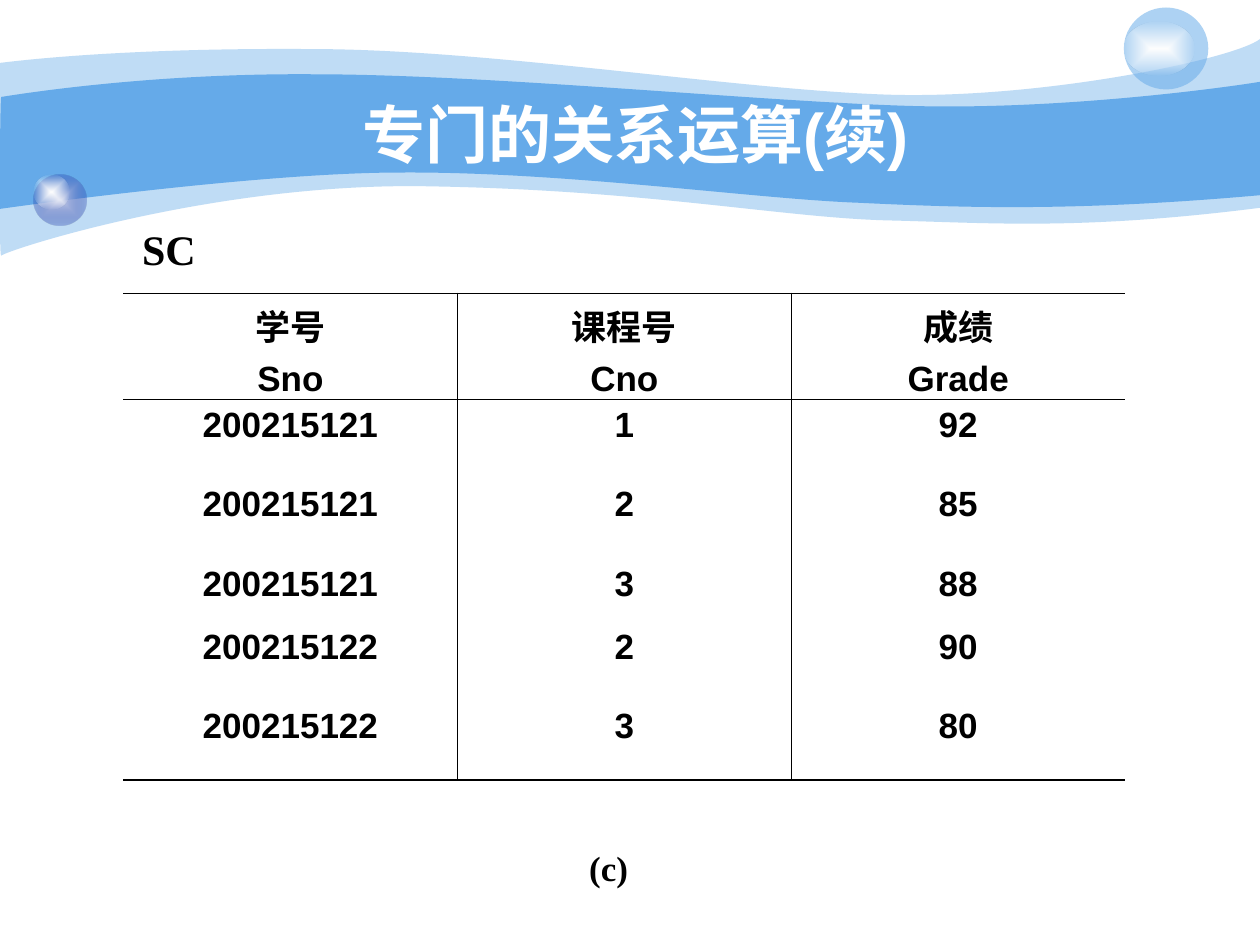
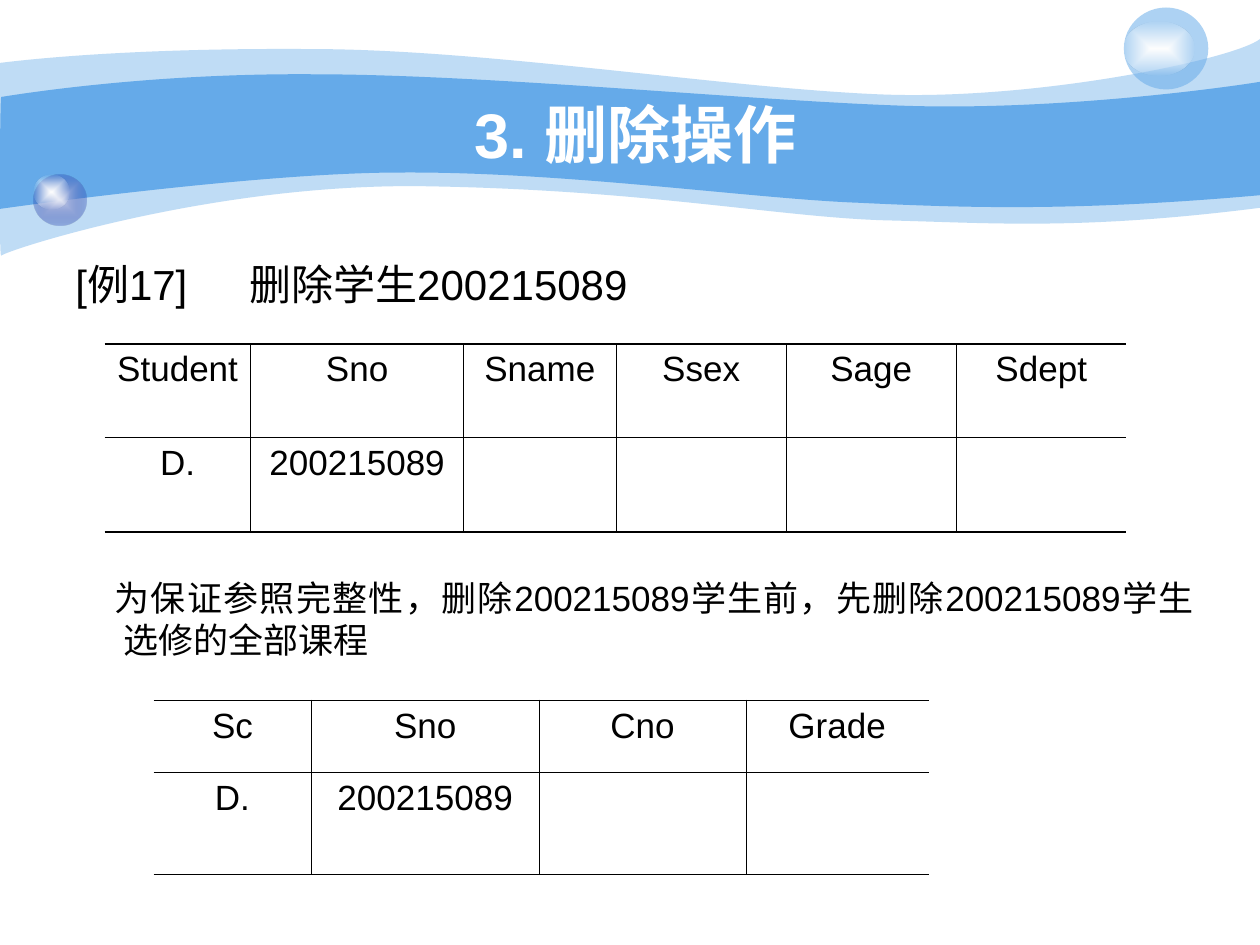
import pptx
import pptx.dml.color
import pptx.enum.shapes
import pptx.enum.text
import pptx.oxml
import pptx.oxml.ns
import pptx.util

RGBColor = pptx.dml.color.RGBColor
Align = pptx.enum.text.PP_ALIGN
Anchor = pptx.enum.text.MSO_ANCHOR
qualified = pptx.oxml.ns.qn

WAVE_BLUE = RGBColor(0x65, 0xAA, 0xE9)
BUBBLE_PALE = RGBColor(0xC7, 0xCE, 0xE9)
BUBBLE_DEEP = RGBColor(0x23, 0x3D, 0xA9)
WHITE = RGBColor(0xFF, 0xFF, 0xFF)
BLACK = RGBColor(0, 0, 0)

SANS, SERIF = "Arial", "Times New Roman"
COLUMNS, ROWS = 10, 7.5
CELL = pptx.util.Inches(1)
THIN, THICK = 0.45, 1.08

# Each outline is a start point, then curves (three points) and lines (one point).
PALE_WAVE = ((0, 0.5), [
    ((0.24, 0.47), (1.07, 0.38), (2.47, 0.39)),
    ((3.86, 0.39), (5.75, 0.7), (6.99, 0.75)),
    ((8.22, 0.8), (9.8, 0.47), (10, 0.31)),
    ((10, 1.65),),
    ((8.58, 1.83), (7.87, 1.77), (7.05, 1.75)),
    ((6.22, 1.73), (5.15, 1.51), (3.43, 1.48)),
    ((1.72, 1.44), (0.04, 1.99), (0.01, 2.03)),
    ((-0.01, 2.08), (0, 0.75), (0, 0.5)),
])
STRONG_WAVE = ((0.01, 0.77), [
    ((0.02, 0.77), (1.1, 0.58), (2.48, 0.59)),
    ((3.86, 0.59), (5.95, 0.8), (7.18, 0.84)),
    ((8.41, 0.88), (9.76, 0.69), (10, 0.65)),
    ((10, 1.55),),
    ((8.53, 1.68), (7.65, 1.65), (6.82, 1.61)),
    ((5.99, 1.58), (4.47, 1.36), (3.17, 1.37)),
    ((2.03, 1.37), (-0.02, 1.66), (-0.01, 1.66)),
    ((0, 1.66), (0, 0.77), (0.01, 0.77)),
])


def grid(*cells):
    """Turn columns or rows into slide lengths."""
    return [pptx.util.Emu(round(cell * CELL)) for cell in cells]


def xml(text):
    return pptx.oxml.parse_xml(text.replace(">", f' {pptx.oxml.ns.nsdecls("a")}>', 1))


def color_xml(color, opacity=100):
    return f'<a:srgbClr val="{color}"><a:alpha val="{opacity * 1000}"/></a:srgbClr>'


def bend(shape, pieces):
    """Join the straight segments of each three-point piece into one curve."""
    segments = iter(list(shape._element.iter(qualified("a:lnTo"))))
    for piece in pieces:
        lines = [next(segments) for _ in piece]
        if len(lines) == 3:
            curve = xml("<a:cubicBezTo></a:cubicBezTo>")
            lines[0].addprevious(curve)
            for line in lines:
                curve.append(line[0])
                line.getparent().remove(line)


class SlideBuilder:
    def __init__(self):
        self.deck = pptx.Presentation()
        self.deck.slide_width, self.deck.slide_height = grid(COLUMNS, ROWS)
        self.page = None

    def new_page(self, title):
        self.page = self.deck.slides.add_slide(self.deck.slide_layouts[6])
        self.wave(PALE_WAVE, 41)
        self.wave(STRONG_WAVE)
        self.bubble((0.27, 1.39, 0.42, 0.4), BUBBLE_PALE, BUBBLE_DEEP, 31)
        self.bubble((0.27, 1.39, 0.28, 0.27), WHITE, WHITE, 0)
        self.flat_fill(self.ellipse((8.92, 0.06, 0.67, 0.65)), 53)
        self.bubble((8.92, 0.17, 0.56, 0.43), WHITE, WHITE, 0)
        self.text((1, 0.75, 8.08, 0.62), title, 36, bold=True, color=WHITE, anchor=Anchor.MIDDLE)

    def flat_fill(self, shape, opacity=100):
        shape.shadow.inherit = False
        shape.line.fill.background()
        self.swap_fill(shape, f"<a:solidFill>{color_xml(WAVE_BLUE, opacity)}</a:solidFill>")

    def swap_fill(self, shape, fill_text):
        shape.fill.background()
        old = shape._element.spPr.find(qualified("a:noFill"))
        old.getparent().replace(old, xml(fill_text))

    def wave(self, outline, opacity=100):
        start, pieces = outline
        builder = self.page.shapes.build_freeform(*grid(*start))
        builder.add_line_segments([grid(*point) for piece in pieces for point in piece])
        builder.add_line_segments([], close=True)
        shape = builder.convert_to_shape()
        bend(shape, pieces)
        self.flat_fill(shape, opacity)

    def ellipse(self, place):
        shape = self.page.shapes.add_shape(pptx.enum.shapes.MSO_SHAPE.OVAL, *grid(*place))
        shape.shadow.inherit = False
        shape.line.fill.background()
        return shape

    def bubble(self, place, inner, outer, outer_opacity):
        """Draw an ellipse that fades from its middle outwards."""
        self.swap_fill(self.ellipse(place), (
            f'<a:gradFill><a:gsLst><a:gs pos="0">{color_xml(inner)}</a:gs>'
            f'<a:gs pos="100000">{color_xml(outer, outer_opacity)}</a:gs></a:gsLst>'
            '<a:path path="rect"><a:fillToRect l="50000" t="50000" r="50000" b="50000"/></a:path>'
            '</a:gradFill>'))

    def style(self, paragraphs, size, font=SANS, bold=False, color=BLACK, align=Align.CENTER):
        for index, para in enumerate(paragraphs):
            para.alignment = align
            if index:
                para.space_before = pptx.util.Pt(5)
            for span in para.runs:
                span.font.size = pptx.util.Pt(size)
                span.font.name = font
                span.font.bold = bold
                span.font.color.rgb = color

    def text(self, place, words, size, anchor=Anchor.TOP, wrap=True, **look):
        frame = self.page.shapes.add_textbox(*grid(*place)).text_frame
        frame.word_wrap = wrap
        frame.vertical_anchor = anchor
        frame.text = words
        self.style(frame.paragraphs, size, **look)
        return frame

    def indent(self, para, margin, first_line, tab=None):
        properties = para._p.get_or_add_pPr()
        margin, first_line = grid(margin, first_line)
        properties.set("marL", str(margin))
        properties.set("indent", str(first_line))
        if tab:
            stop, = grid(tab)
            properties.append(xml(f'<a:tabLst><a:tab pos="{stop}" algn="l"/></a:tabLst>'))

    def table(self, corner, widths, heights, records, bold=False):
        """Draw an open-sided table with ruled columns and a ruled header."""
        row_count, column_count = len(heights), len(widths)
        place = grid(*corner, sum(widths), sum(heights))
        table = self.page.shapes.add_table(row_count, column_count, *place).table
        table.first_row = table.horz_banding = False
        for column, width in zip(table.columns, grid(*widths)):
            column.width = width
        for row, height in zip(table.rows, grid(*heights)):
            row.height = height
        for r, record in enumerate(records):
            for c, words in enumerate(record):
                cell = table.cell(r, c)
                cell.text = words
                cell.fill.background()
                self.style(cell.text_frame.paragraphs, 20, bold=bold)
                self.borders(cell, {
                    "L": THIN if c else 0,
                    "R": THIN if c < column_count - 1 else 0,
                    "T": {0: THICK, 1: THIN}.get(r, 0),
                    "B": THICK if r == row_count - 1 else THIN if r == 0 else 0,
                })

    def borders(self, cell, weights):
        properties = cell._tc.get_or_add_tcPr()
        for index, (side, weight) in enumerate(weights.items()):
            fill = f"<a:solidFill>{color_xml(BLACK)}</a:solidFill>" if weight else "<a:noFill/>"
            width = pptx.util.Pt(weight)
            properties.insert(index, xml(f'<a:ln{side} w="{width}">{fill}</a:ln{side}>'))


def grades_page(builder):
    builder.new_page("专门的关系运算(续)")
    builder.text((4.37, 6.67, 0.92, 0.77), "(c)", 20, font=SERIF, bold=True)
    builder.text((0.75, 1.7, 1.18, 0.55), "SC", 24, font=SERIF, bold=True,
                 anchor=Anchor.MIDDLE, wrap=False)
    builder.table((0.98, 2.33), [2.65] * 3, [0.84, 0.63, 0.63, 0.5, 0.63, 0.63], [
        ("学号\nSno", "课程号\nCno", "成绩\nGrade"),
        ("200215121", "1", "92"),
        ("200215121", "2", "85"),
        ("200215121", "3", "88"),
        ("200215122", "2", "90"),
        ("200215122", "3", "80"),
    ], bold=True)


def deletion_page(builder):
    builder.new_page("3. 删除操作")
    body = builder.text((0.5, 2, 9.07, 4.92), (
        "[例17]\t删除学生200215089\n"
        "为保证参照完整性，删除200215089学生前，先删除200215089学生选修的全部课程"),
        20, align=Align.JUSTIFY)
    example, remark = body.paragraphs
    builder.indent(example, 0.38, -0.38, tab=1.32)
    example.runs[0].font.size = pptx.util.Pt(24)
    for span in example.runs:
        span.font.size = pptx.util.Pt(24)
    builder.indent(remark, 0.38, -0.07)
    remark.space_before = pptx.util.Pt(153)
    builder.table((0.83, 2.73), [1.16, 1.69, 1.21, 1.35, 1.35, 1.35], [0.74, 0.75], [
        ("Student", "Sno", "Sname", "Ssex", "Sage", "Sdept"),
        ("D.", "200215089", "", "", "", ""),
    ])
    builder.table((1.22, 5.56), [1.25, 1.81, 1.64, 1.45], [0.57, 0.81], [
        ("Sc", "Sno", "Cno", "Grade"),
        ("D.", "200215089", "", ""),
    ])


def main():
    builder = SlideBuilder()
    grades_page(builder)
    deletion_page(builder)
    builder.deck.save("out.pptx")


if __name__ == "__main__":
    main()
